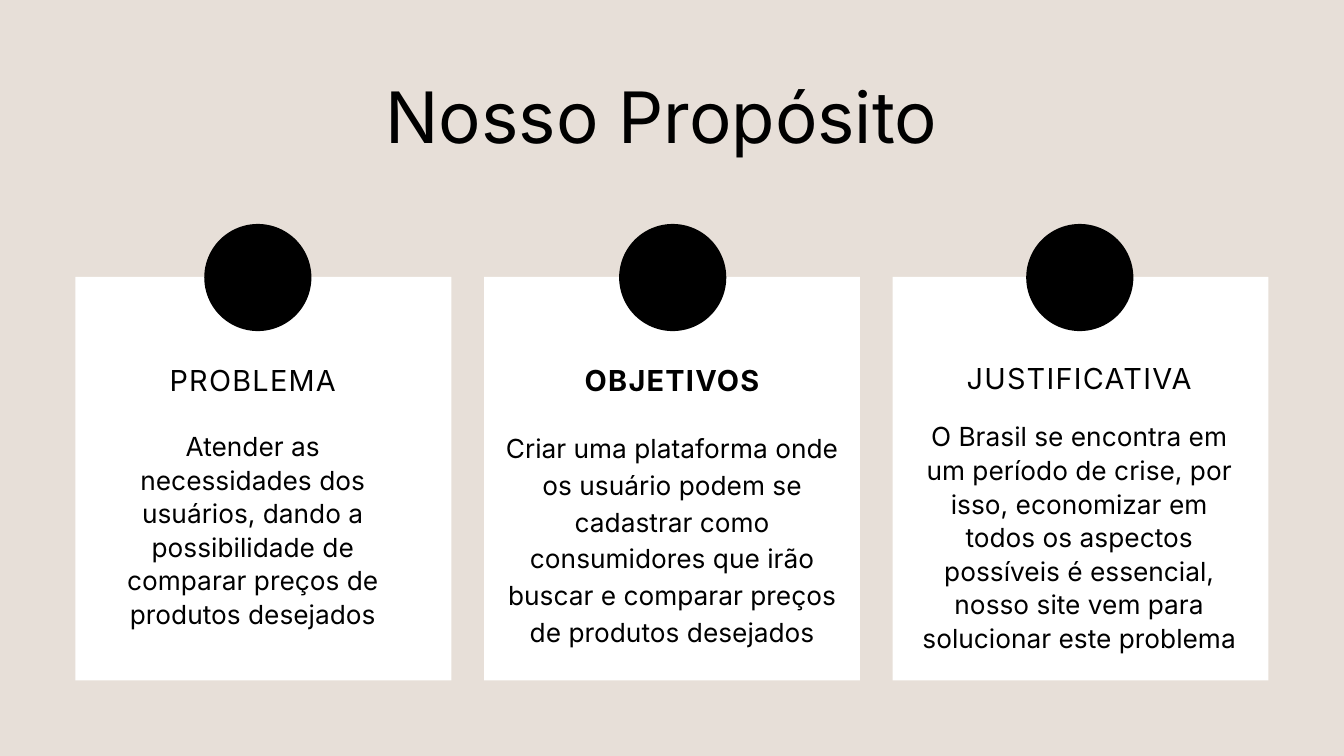
from pptx import Presentation
from pptx.dml.color import RGBColor
from pptx.enum.shapes import MSO_SHAPE
from pptx.enum.text import MSO_ANCHOR, MSO_AUTO_SIZE, PP_ALIGN
from pptx.util import Cm, Pt

# Content: text boxes are (left, top, width, height) in cm
TITLE = "Nosso Propósito"
CARDS = [
    dict(heading="PROBLEMA", bold=False, circle_left=5.49,
         heading_box=(2.72, 9.75, 8.15, 0.91), body_box=(2.72, 11.51, 8.15, 5.38),
         spacing=25.6,
         body="Atender as necessidades dos usuários, dando a possibilidade de "
              "comparar preços de produtos desejados"),
    dict(heading="OBJETIVOS", bold=True, circle_left=16.64,
         heading_box=(13.77, 9.75, 8.59, 0.91), body_box=(13.39, 11.48, 9.35, 5.87),
         spacing=28,
         body="Criar uma plataforma onde os usuário podem se cadastrar como "
              "consumidores que irão buscar e comparar preços de produtos desejados"),
    dict(heading="JUSTIFICATIVA", bold=False, circle_left=27.58,
         heading_box=(24.71, 9.7, 8.59, 0.91), body_box=(24.71, 11.25, 8.59, 6.27),
         spacing=25.6,
         body="O Brasil se encontra em um período de crise, por isso, economizar "
              "em todos os aspectos possíveis é essencial, nosso site vem para "
              "solucionar este problema"),
]

# Style
FONT = "Inter"
BLACK = RGBColor(0x00, 0x00, 0x00)
WHITE = RGBColor(0xFF, 0xFF, 0xFF)
BEIGE = RGBColor(0xE7, 0xDF, 0xD8)

# Card grid, in cm
CARD_LEFT, CARD_TOP, CARD_W, CARD_H = 2.03, 7.44, 10.1, 10.85
CARD_STEP = 10.98
CIRCLE_TOP, CIRCLE_D = 6.02, 2.88


def add_filled(s, kind, box, color):
    sp = s.shapes.add_shape(kind, *map(Cm, box))
    sp.shadow.inherit = False
    sp.fill.solid()
    sp.fill.fore_color.rgb = color
    sp.line.fill.background()


def set_text(sp, text, size, spacing, bold=False, tracking=0):
    tf = sp.text_frame
    tf.text = text
    tf.word_wrap = True
    tf.auto_size = MSO_AUTO_SIZE.NONE
    tf.vertical_anchor = MSO_ANCHOR.TOP
    tf.margin_left = tf.margin_right = tf.margin_top = tf.margin_bottom = 0
    p = tf.paragraphs[0]
    p.alignment = PP_ALIGN.CENTER
    p.line_spacing = Pt(spacing)
    p.space_before = Pt(0)
    r = p.runs[0]
    r.font.name = FONT
    r.font.size = Pt(size)
    r.font.bold = bold
    r.font.color.rgb = BLACK
    if tracking:
        r.font._element.set("spc", str(tracking * 100))


def add_text(s, box, *args, **kwargs):
    set_text(s.shapes.add_textbox(*map(Cm, box)), *args, **kwargs)


def main():
    prs = Presentation()
    prs.slide_width, prs.slide_height = Cm(36.12), Cm(20.32)
    s = prs.slides.add_slide(prs.slide_layouts[5])
    s.background.fill.solid()
    s.background.fill.fore_color.rgb = BEIGE

    # Title
    title = s.shapes.title
    title.left, title.top, title.width, title.height = map(Cm, (1.74, 2.11, 32.08, 2.18))
    set_text(title, TITLE, 54, 60.5)

    # Cards with a circle on the top edge
    for i, card in enumerate(CARDS):
        left = CARD_LEFT + i * CARD_STEP
        add_filled(s, MSO_SHAPE.RECTANGLE, (left, CARD_TOP, CARD_W, CARD_H), WHITE)
        add_filled(s, MSO_SHAPE.OVAL,
                   (card["circle_left"], CIRCLE_TOP, CIRCLE_D, CIRCLE_D), BLACK)
        add_text(s, card["heading_box"], card["heading"], 22, 26.6,
                 bold=card["bold"], tracking=1)
        add_text(s, card["body_box"], card["body"], 20, card["spacing"])

    prs.save("out.pptx")


if __name__ == "__main__":
    main()
